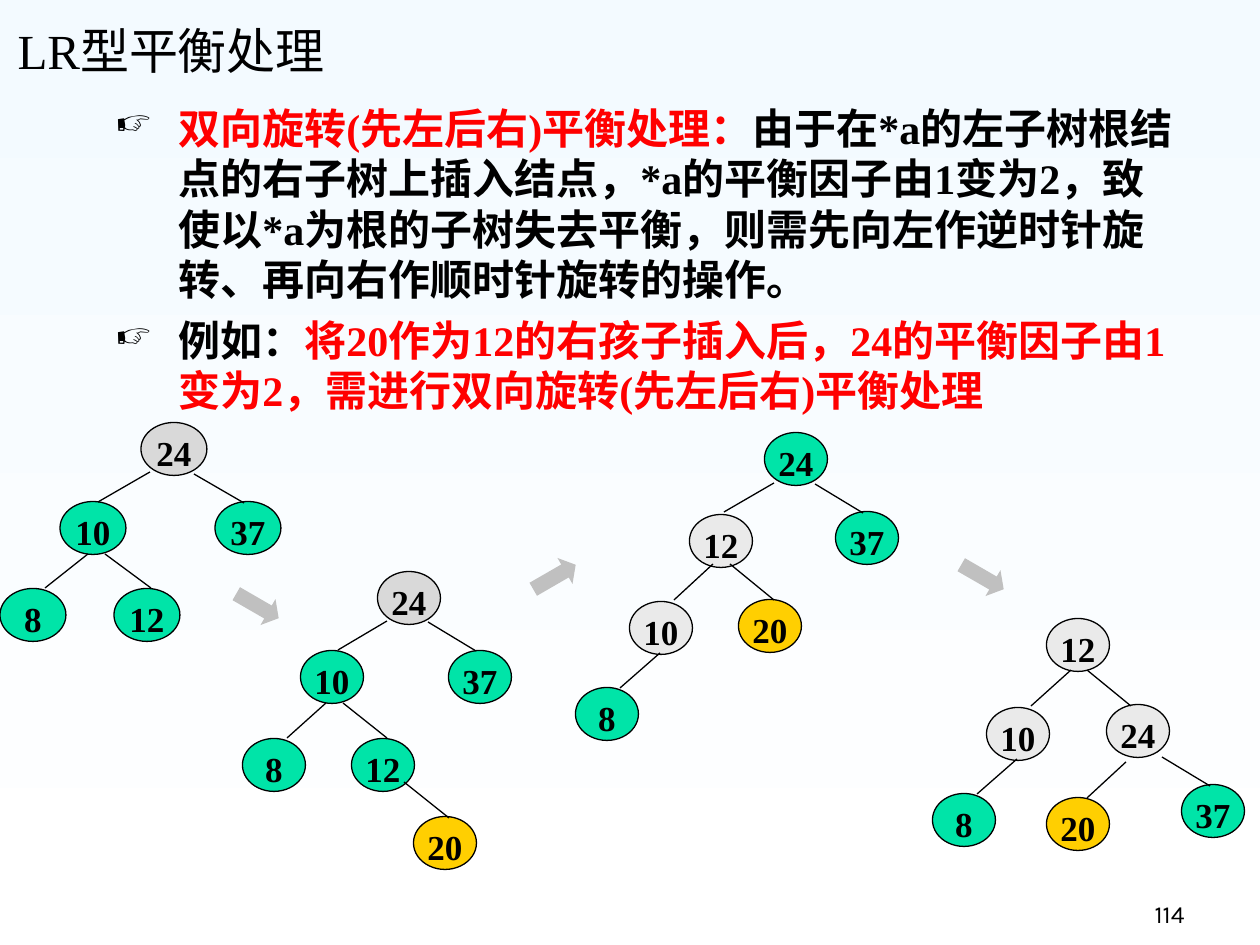
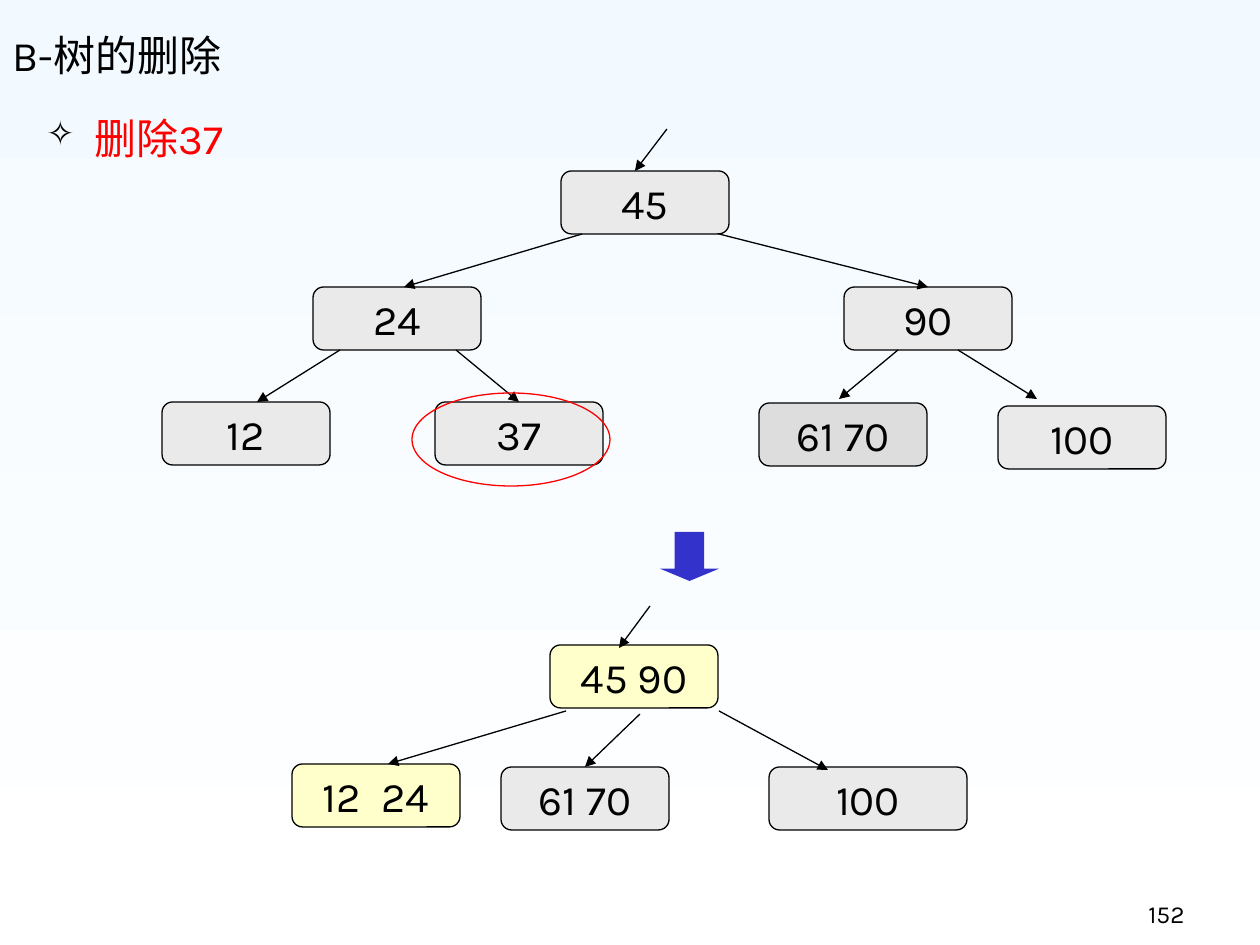
from lxml import etree
from pptx import Presentation
from pptx import util as u
from pptx.dml.color import RGBColor
from pptx.enum import shapes, text
from pptx.oxml.ns import qn

SCALE = 914400 / 126
COLORS = {
    "black": "000000", "red": "FF0000", "sky": "F3FAFF", "white": "FFFFFF",
    "green": "00E4A8", "gold": "FFCF01", "silver": "D9D9D9", "pale": "EAEAEA",
    "gray": "DDDDDD", "cream": "FFFFCB", "arrow": "C0C0C0", "blue": "3333CC",
}
SERIF, SANS, CHINESE = "Times New Roman", "Karla", "Noto Sans CJK SC"
KINDS = shapes.MSO_SHAPE
LEFT, CENTER, RIGHT = text.PP_ALIGN.LEFT, text.PP_ALIGN.CENTER, text.PP_ALIGN.RIGHT
TOP, MIDDLE, BOTTOM = (text.MSO_ANCHOR.TOP, text.MSO_ANCHOR.MIDDLE,
                       text.MSO_ANCHOR.BOTTOM)
NUMBER_AREA = (935, 872, 262, 63)

ROTATION = {
    "title": "LR型平衡处理", "title_area": (5, 6, 1074, 80),
    "title_font": {"name": SERIF, "size": u.Pt(28), "bold": False},
    "number": "114",
    "body_area": (103, 96, 1092, 387),
    "body_font": {"name": SERIF, "size": u.Pt(24), "bold": True},
    "bullet": ("☞", 85, 63),
    "body": [
        [("双向旋转(先左后右)平衡处理：", "red"),
         ("由于在*a的左子树根结点的右子树上插入结点，*a的平衡因子由1变为2，"
          "致使以*a为根的子树失去平衡，则需先向左作逆时针旋转、"
          "再向右作顺时针旋转的操作。", "black")],
        [("例如：", "black"),
         ("将20作为12的右孩子插入后，24的平衡因子由1变为2，"
          "需进行双向旋转(先左后右)平衡处理", "red")],
    ],
}
# Each tree: node width, nodes (label, centre x, centre y, colour), edges (x1, y1, x2, y2)
AVL_TREES = [
    (66,
     [("24", 174, 449, "silver"), ("37", 248, 528, "green"), ("10", 93, 528, "green"),
      ("12", 147, 615, "green"), ("8", 33, 615, "green")],
     [(194, 474, 244, 503), (150, 472, 98, 502), (105, 554, 151, 588),
      (88, 554, 45, 588)]),
    (63,
     [("24", 409, 598, "silver"), ("37", 480, 677, "green"), ("10", 332, 677, "green"),
      ("12", 383, 765, "green"), ("8", 274, 765, "green"), ("20", 445, 843, "gold")],
     [(428, 622, 476, 651), (387, 621, 338, 650), (343, 703, 387, 738),
      (326, 703, 287, 738), (404, 782, 449, 818)]),
    (63,
     [("24", 796, 459, "green"), ("37", 867, 538, "green"), ("12", 721, 541, "pale"),
      ("20", 770, 626, "gold"), ("10", 661, 628, "pale"), ("8", 607, 714, "green")],
     [(815, 484, 863, 513), (774, 483, 724, 512), (730, 564, 774, 600),
      (713, 564, 674, 600), (660, 653, 620, 688)]),
    (63,
     [("37", 1213, 811, "green"), ("12", 1078, 645, "pale"), ("24", 1138, 731, "pale"),
      ("10", 1018, 734, "pale"), ("8", 964, 820, "green"), ("20", 1078, 824, "gold")],
     [(1162, 757, 1210, 786), (1087, 670, 1131, 706), (1071, 670, 1031, 706),
      (1017, 759, 977, 794), (1126, 762, 1087, 798)]),
]
STEP_ARROWS = [(233, 591, 30), (958, 562, 30), (530, 562, 330)]

DELETION = {
    "title": "B-树的删除", "title_area": (0, 0, 1074, 86),
    "title_font": {"name": SANS, "size": u.Pt(24), "bold": False},
    "number": "152",
    "body_area": (34, 106, 536, 169),
    "body_font": {"name": SANS, "size": u.Pt(24)},
    "bullet": ("✧", 80, 48),
    "body": [[("删除37", "red")]],
}
# Each tree: nodes (label, left, top, width, colour), arrows (start, end point or node label)
B_TREES = [
    ([("45", 561, 171, 168, "pale"), ("90", 844, 287, 168, "pale"),
      ("24", 313, 287, 168, "pale"), ("37", 435, 402, 168, "pale"),
      ("12", 162, 402, 168, "pale"), ("100", 998, 406, 168, "pale"),
      ("61 70", 759, 403, 168, "gray")],
     [((667, 129), (635, 171)), ((582, 234), (404, 287)), ((719, 234), "90"),
      ((340, 350), (257, 402)), ((456, 350), "37"),
      ((958, 350), (1037, 399)), ((898, 350), (839, 399))]),
    ([("45 90", 550, 645, 168, "cream"), ("100", 769, 767, 198, "pale"),
      ("12  24", 292, 764, 168, "cream"), ("61 70", 501, 767, 168, "pale")],
     [((650, 606), (619, 648)), ((566, 711), (388, 764)),
      ((719, 711), (828, 770)), ((640, 714), "61 70")]),
]


def px(value):
    return u.Emu(round(value * SCALE))


def emu(lengths):
    return [px(length) for length in lengths]


def rgb(name):
    return RGBColor.from_string(COLORS[name])


def set_all(target, values):
    for name, value in values.items():
        setattr(target, name, value)


def add_span(para, words, font, color="black"):
    span = para.add_run()
    span.text = words
    set_all(span.font, font)
    span.font.color.rgb = rgb(color)
    etree.SubElement(span.font._element, qn("a:ea"), typeface=CHINESE)


def add_bullet(para, char, percent, indent):
    props = para._p.get_or_add_pPr()
    props.set("marL", str(px(indent)))
    props.set("indent", str(-px(indent)))
    color = etree.SubElement(props, qn("a:buClr"))
    etree.SubElement(color, qn("a:srgbClr"), val=COLORS["black"])
    etree.SubElement(props, qn("a:buSzPct"), val=str(percent * 1000))
    etree.SubElement(props, qn("a:buChar"), char=char)


def add_figure(parent, kind, area, fill=None, line=None, adjust=()):
    figure = parent.add_shape(kind, *emu(area))
    figure.shadow.inherit = False
    for index, value in enumerate(adjust):
        figure.adjustments[index] = value
    if fill:
        figure.fill.solid()
        figure.fill.fore_color.rgb = rgb(fill)
    else:
        figure.fill.background()
    if line:
        figure.line.color.rgb = rgb(line)
        figure.line.width = u.Pt(0.75)
    else:
        figure.line.fill.background()
    return figure


def label_figure(figure, words, font, frame_format, **para_format):
    set_all(figure.text_frame, frame_format)
    para = figure.text_frame.paragraphs[0]
    set_all(para, {"alignment": CENTER, **para_format})
    add_span(para, words, font)


def add_line(parent, start, end, arrow=False):
    line = parent.add_connector(shapes.MSO_CONNECTOR.STRAIGHT, *emu(start + end))
    line.line.color.rgb = rgb("black")
    line.line.width = u.Pt(0.75)
    if arrow:
        etree.SubElement(line.line._get_or_add_ln(), qn("a:tailEnd"), type="triangle")
    etree.SubElement(line._element.spPr, qn("a:effectLst"))
    return line


def add_page(deck, content):
    """Add a slide with its title, bulleted text and number."""
    page = deck.slides.add_slide(deck.slide_layouts[5])
    title = page.shapes.title
    set_all(title, dict(zip(("left", "top", "width", "height"),
                            emu(content["title_area"]))))
    set_all(title.text_frame, {"vertical_anchor": BOTTOM, "word_wrap": True,
                               "auto_size": text.MSO_AUTO_SIZE.NONE})
    para = title.text_frame.paragraphs[0]
    para.alignment = LEFT
    add_span(para, content["title"], content["title_font"])

    frame = page.shapes.add_textbox(*emu(content["body_area"])).text_frame
    frame.word_wrap = True
    for index, spans in enumerate(content["body"]):
        para = frame.add_paragraph() if index else frame.paragraphs[0]
        if index:
            para.space_before = u.Pt(6)
        add_bullet(para, *content["bullet"])
        for words, color in spans:
            add_span(para, words, content["body_font"], color)

    number = page.shapes.add_textbox(*emu(NUMBER_AREA))
    label_figure(number, content["number"], {"name": SANS, "size": u.Pt(14)},
                 {"vertical_anchor": BOTTOM, "word_wrap": True}, alignment=RIGHT)
    return page


def add_avl_tree(page, width, nodes, edges):
    height = 53
    group = page.shapes.add_group_shape().shapes
    for label, x, y, color in nodes:
        area = (x - width / 2, y - height / 2, width, height)
        node = add_figure(group, KINDS.OVAL, area, color, "black")
        label_figure(node, label, {"name": SERIF, "size": u.Pt(20), "bold": True},
                     {"margin_left": 0, "margin_right": 0, "margin_bottom": 0,
                      "margin_top": px(15), "vertical_anchor": TOP},
                     line_spacing=0.64)
    for edge in edges:
        add_line(group, edge[:2], edge[2:])


def add_b_tree(page, nodes, arrows):
    boxes = {}
    for label, left, top, width, color in nodes:
        box = add_figure(page.shapes, KINDS.ROUNDED_RECTANGLE, (left, top, width, 63),
                         color, "black", [0.167])
        label_figure(box, label, {"name": SANS, "size": u.Pt(24)},
                     {"vertical_anchor": MIDDLE, "word_wrap": False})
        boxes[label] = box
    for start, end in arrows:
        if end in boxes:
            add_line(page.shapes, start, start, True).end_connect(boxes[end], 0)
        else:
            add_line(page.shapes, start, end, True)


def main():
    deck = Presentation()
    deck.slide_width, deck.slide_height = emu((1260, 945))
    backdrop = deck.slide_master.background.fill
    backdrop.gradient()
    backdrop.gradient_angle = 270
    for stop, color in zip(backdrop.gradient_stops, ("sky", "white")):
        stop.color.rgb = rgb(color)

    page = add_page(deck, ROTATION)
    for tree in AVL_TREES:
        add_avl_tree(page, *tree)
    for left, top, angle in STEP_ARROWS:
        arrow = add_figure(page.shapes, KINDS.RIGHT_ARROW, (left, top, 49, 30),
                           "arrow", adjust=(0.5, 0.41))
        arrow.rotation = angle

    page = add_page(deck, DELETION)
    add_figure(page.shapes, KINDS.DOWN_ARROW, (660, 532, 59, 49), "blue",
               adjust=(0.5, 0.25))
    for tree in B_TREES:
        add_b_tree(page, *tree)
    add_figure(page.shapes, KINDS.OVAL, (412, 393, 198, 93), line="red")
    deck.save("out.pptx")


if __name__ == "__main__":
    main()
